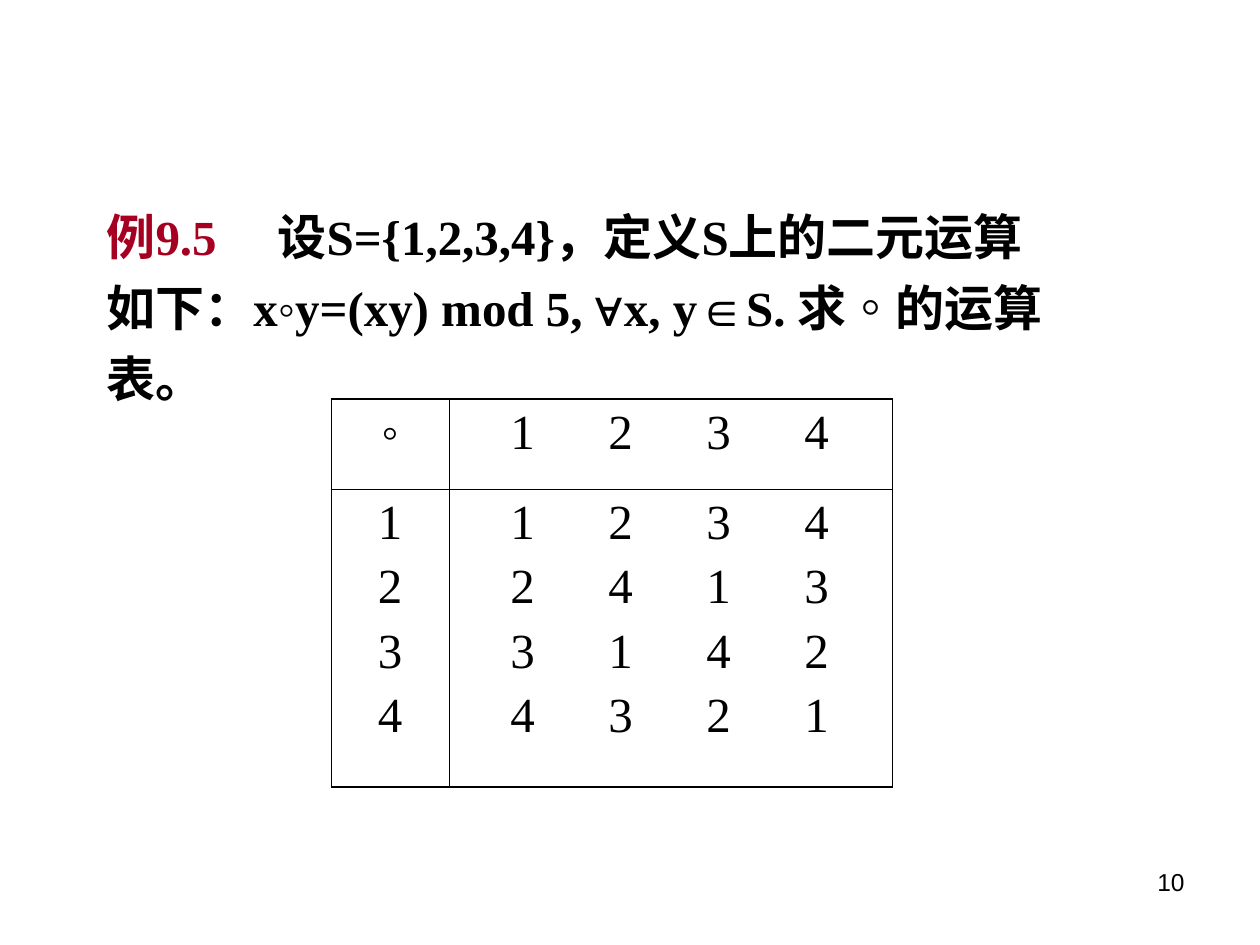
from dataclasses import dataclass

from lxml.etree import SubElement
from pptx import Presentation
from pptx.dml.color import RGBColor
from pptx.enum.text import PP_ALIGN
from pptx.oxml.ns import qn
from pptx.util import Cm, Length, Pt

BLACK = RGBColor(0x00, 0x00, 0x00)
CRIMSON = RGBColor(0xA5, 0x00, 0x21)
SERIF = "Times New Roman"
SANS = "Arial"
OUTER_LINE = Pt(1.08)
INNER_LINE = Pt(0.45)
ELEMENTS = (1, 2, 3, 4)
MODULUS = 5
DIGIT_TABS = [Cm(0.99 + 1.975 * index) for index in range(len(ELEMENTS))]


@dataclass
class Phrase:
    text: str
    font: str = SERIF
    color: RGBColor = BLACK


STATEMENT = [
    Phrase("例9.5\t", color=CRIMSON),
    Phrase("设S={1,2,3,4}，定义S上的二元运算如下：x◦y=(xy) mod 5, "),
    Phrase("∀", SANS),
    Phrase("x, y"),
    Phrase("∈", SANS),
    Phrase("S. 求◦的运算表。"),
]


def add_text(paragraph, text: str, *, font: str = SERIF, size: float = 28,
             color: RGBColor = BLACK, bold: bool = False) -> None:
    run = paragraph.add_run()
    run.text = text
    run.font.name = font
    run.font.size = Pt(size)
    run.font.bold = bold
    run.font.color.rgb = color


def add_text_frame(slide, left: Length, top: Length, width: Length, height: Length):
    text_frame = slide.shapes.add_textbox(left, top, width, height).text_frame
    text_frame.word_wrap = True
    return text_frame


def set_tabs(paragraph, positions: list[Length]) -> None:
    tab_list = SubElement(paragraph._p.get_or_add_pPr(), qn("a:tabLst"))
    for position in positions:
        SubElement(tab_list, qn("a:tab"), pos=str(int(position)), algn="l")


def set_borders(cell, widths: dict[str, Length]) -> None:
    properties = cell._tc.get_or_add_tcPr()
    for side, width in widths.items():
        line = SubElement(properties, qn(f"a:ln{side}"), w=str(int(width)))
        fill = SubElement(line, qn("a:solidFill"))
        SubElement(fill, qn("a:srgbClr"), val=str(BLACK))


def fill_cell(cell, lines: list[str], *, centered: bool, bold: bool = False) -> None:
    for index, line in enumerate(lines):
        paragraph = cell.text_frame.paragraphs[0] if index == 0 else cell.text_frame.add_paragraph()
        if index:
            paragraph.space_before = Pt(5.8)
        if centered:
            paragraph.alignment = PP_ALIGN.CENTER
        else:
            set_tabs(paragraph, DIGIT_TABS)
        add_text(paragraph, line, bold=bold)


def tabbed(values) -> str:
    return "".join(f"\t{value}" for value in values)


def add_operation_table(slide) -> None:
    table = slide.shapes.add_table(2, 2, Cm(6.68), Cm(8.05), Cm(11.31), Cm(7.82)).table
    table.first_row = False
    table.horz_banding = False
    for column, width in zip(table.columns, (2.37, 8.94)):
        column.width = Cm(width)
    for row, height in zip(table.rows, (1.81, 6.01)):
        row.height = Cm(height)

    products = [tabbed(x * y % MODULUS for y in ELEMENTS) for x in ELEMENTS]
    fill_cell(table.cell(0, 0), ["◦"], centered=True, bold=True)
    fill_cell(table.cell(0, 1), [tabbed(ELEMENTS)], centered=False)
    fill_cell(table.cell(1, 0), [str(x) for x in ELEMENTS], centered=True)
    fill_cell(table.cell(1, 1), products, centered=False)

    for row in range(2):
        for column in range(2):
            cell = table.cell(row, column)
            cell.margin_left = cell.margin_right = Cm(0.25)
            cell.margin_top = cell.margin_bottom = Cm(0.13)
            set_borders(cell, {
                "L": INNER_LINE if column else OUTER_LINE,
                "R": OUTER_LINE if column else INNER_LINE,
                "T": INNER_LINE if row else OUTER_LINE,
                "B": OUTER_LINE if row else INNER_LINE,
            })
            cell.fill.background()


def main() -> None:
    presentation = Presentation()
    presentation.slide_width = Cm(25.4)
    presentation.slide_height = Cm(19.05)
    slide = presentation.slides.add_slide(presentation.slide_layouts[6])

    number = add_text_frame(slide, Cm(18.2), Cm(17.35), Cm(5.93), Cm(1.32)).paragraphs[0]
    number.alignment = PP_ALIGN.RIGHT
    add_text(number, "10", font=SANS, size=14)

    statement = add_text_frame(slide, Cm(1.9), Cm(3.81), Cm(19.92), Cm(3.18)).paragraphs[0]
    statement.line_spacing = 1.2
    set_tabs(statement, [Cm(3.45)])
    for phrase in STATEMENT:
        add_text(statement, phrase.text, font=phrase.font, color=phrase.color, bold=True)

    add_operation_table(slide)
    presentation.save("out.pptx")


if __name__ == "__main__":
    main()
